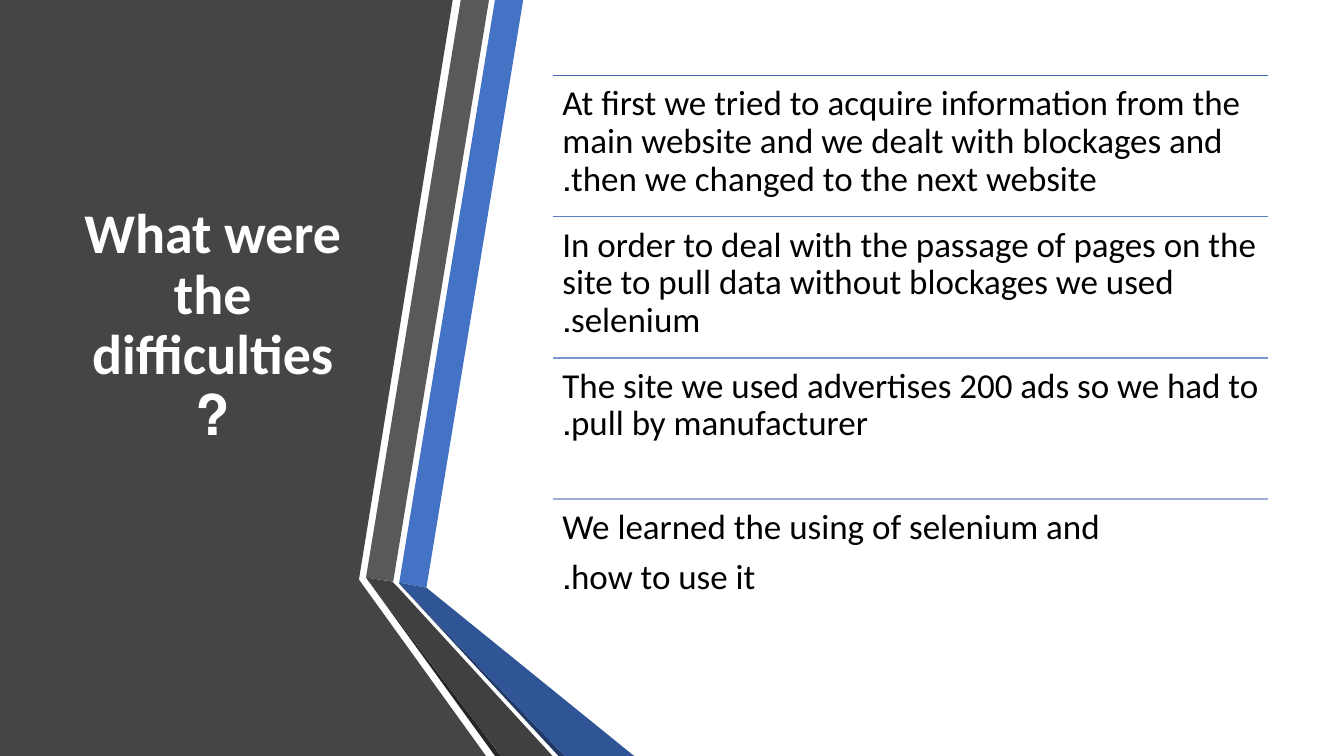
from pptx import Presentation
from pptx.dml.color import RGBColor
from pptx.enum.shapes import MSO_CONNECTOR as Connector
from pptx.enum.text import MSO_ANCHOR as Anchor, PP_ALIGN as Align
from pptx.util import Inches, Pt
from lxml import etree

COLORS = {
    "panel": "454545", "blue": "4472C4", "gray": "595959",
    "gray_edge": "262626", "blue_edge": "203864",
    "blue_fold": "2F5597", "gray_fold": "404040",
    "white": "FFFFFF", "black": "000000",
}
TITLE = "What were the difficulties ?"
DIFFICULTIES = [
    ("3E67B2", ["At first we tried to acquire information from the main website "
                "and we dealt with blockages and then we changed to the next website."]),
    ("5A7CC3", ["In order to deal with the passage of pages on the site "
                "to pull data without blockages we used selenium."]),
    ("7D95CD", ["The site we used advertises 200 ads so we had to pull by manufacturer."]),
    ("9FAED8", ["We learned the using of selenium and", "how to use it."]),
]
RIBBONS = [
    ("panel", [(0, 0), (4.49, 0), (3.56, 5.75), (4.82, 7.5), (0, 7.5)]),
    ("blue", [(3.96, 5.78), (4.23, 5.83), (5.19, 0), (4.91, 0)]),
    ("gray", [(4.85, 0), (4.57, 0), (3.63, 5.73), (3.9, 5.77)]),
    ("gray_edge", [(3.63, 5.73), (4.91, 7.5), (4.97, 7.5)]),
    ("blue_edge", [(3.96, 5.79), (5.54, 7.5), (5.6, 7.5)]),
    ("blue_fold", [(3.96, 5.79), (5.6, 7.5), (6.29, 7.5), (4.23, 5.83), (3.96, 5.78)]),
    ("gray_fold", [(5.48, 7.5), (3.95, 5.83), (3.89, 5.77), (3.63, 5.73), (4.97, 7.5)]),
]
LIST_LEFT, LIST_TOP, LIST_WIDTH, ROW_HEIGHT = 5.48, 0.75, 7.1, 1.4
DRAWING = "{http://schemas.openxmlformats.org/drawingml/2006/main}"


def add_ribbon(slide, color, points):
    corners = [(Inches(x), Inches(y)) for x, y in points]
    builder = slide.shapes.build_freeform(*corners[0])
    builder.add_line_segments(corners[1:], close=True)
    shape = builder.convert_to_shape()
    shape.shadow.inherit = False
    shape.fill.solid()
    shape.fill.fore_color.rgb = RGBColor.from_string(color)
    shape.line.fill.background()


def add_text(slide, paragraphs, box, *, size, color, insets, bold=False,
             align=Align.LEFT, anchor=Anchor.TOP, after=0):
    frame = slide.shapes.add_textbox(*map(Inches, box)).text_frame
    frame.word_wrap = True
    frame.vertical_anchor = anchor
    (frame.margin_left, frame.margin_top,
     frame.margin_right, frame.margin_bottom) = map(Inches, insets)
    for index, text in enumerate(paragraphs):
        paragraph = frame.add_paragraph() if index else frame.paragraphs[0]
        paragraph.alignment = align
        paragraph.line_spacing = 0.9
        paragraph.space_after = Pt(after)
        paragraph._p.get_or_add_pPr().set("rtl", "1")
        run = paragraph.add_run()
        run.text = text
        run.font.name = "Calibri"
        run.font.size = Pt(size)
        run.font.bold = bold
        run.font.color.rgb = RGBColor.from_string(color)


def add_rule(slide, top, color):
    rule = slide.shapes.add_connector(
        Connector.STRAIGHT, Inches(LIST_LEFT), Inches(top),
        Inches(LIST_LEFT + LIST_WIDTH), Inches(top))
    rule.line.width = Pt(1)
    rule.line.color.rgb = RGBColor.from_string(color)
    etree.SubElement(rule._element.spPr, DRAWING + "effectLst")


def main():
    presentation = Presentation()
    presentation.slide_width = Inches(13.33)
    presentation.slide_height = Inches(7.5)
    slide = presentation.slides.add_slide(presentation.slide_layouts[6])

    for name, points in RIBBONS:
        add_ribbon(slide, COLORS[name], points)

    add_text(slide, [TITLE], (0.59, 0.75, 3.04, 5.58), size=40, bold=True,
             color=COLORS["white"], insets=(0.2, 0.05, 0.2, 0.65),
             align=Align.CENTER, anchor=Anchor.MIDDLE)

    for row, (rule_color, paragraphs) in enumerate(DIFFICULTIES):
        top = LIST_TOP + row * ROW_HEIGHT
        add_rule(slide, top, rule_color)
        add_text(slide, paragraphs, (LIST_LEFT, top, LIST_WIDTH, ROW_HEIGHT),
                 size=25, color=COLORS["black"], insets=(0.1,) * 4, after=9)

    presentation.save("out.pptx")


if __name__ == "__main__":
    main()
